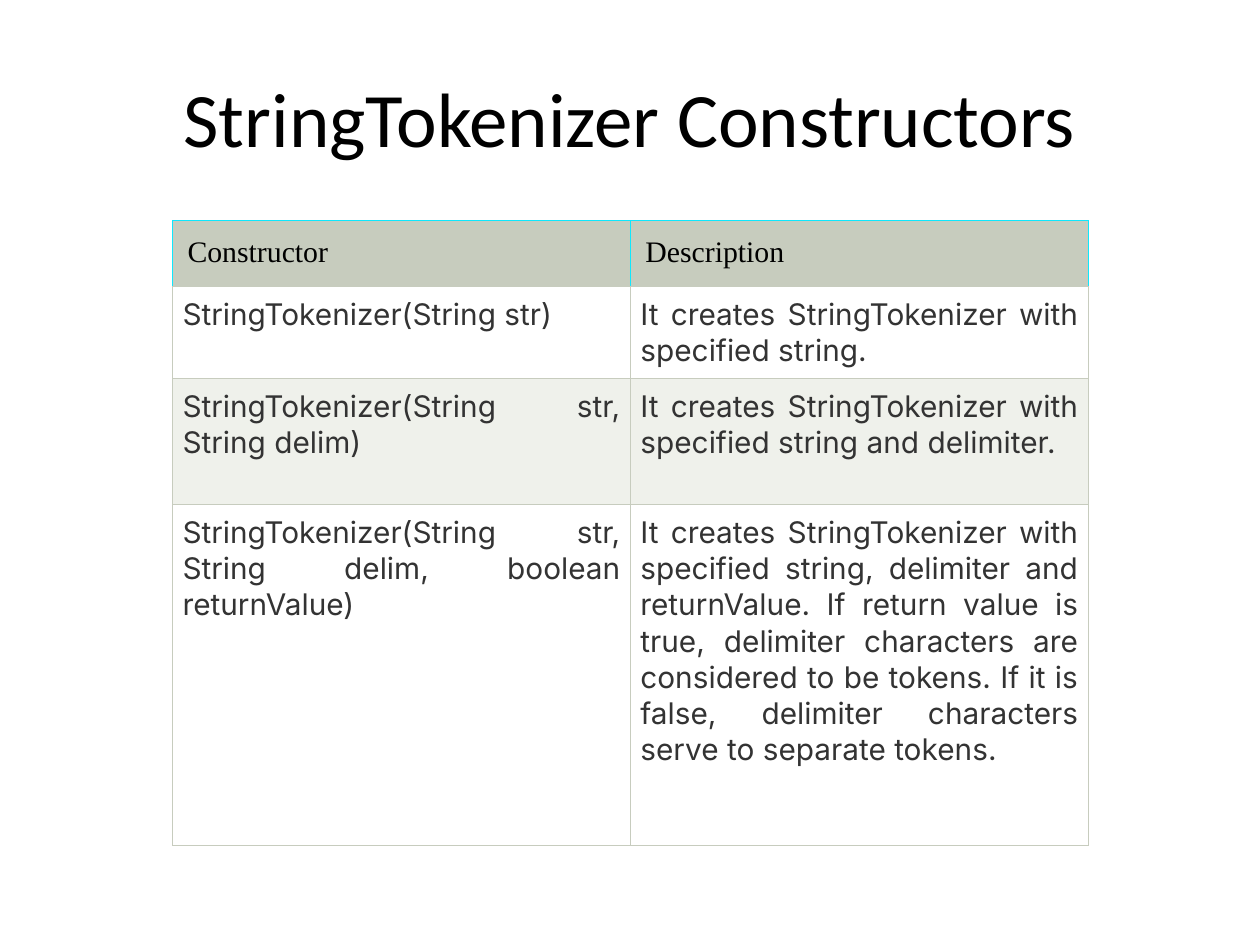
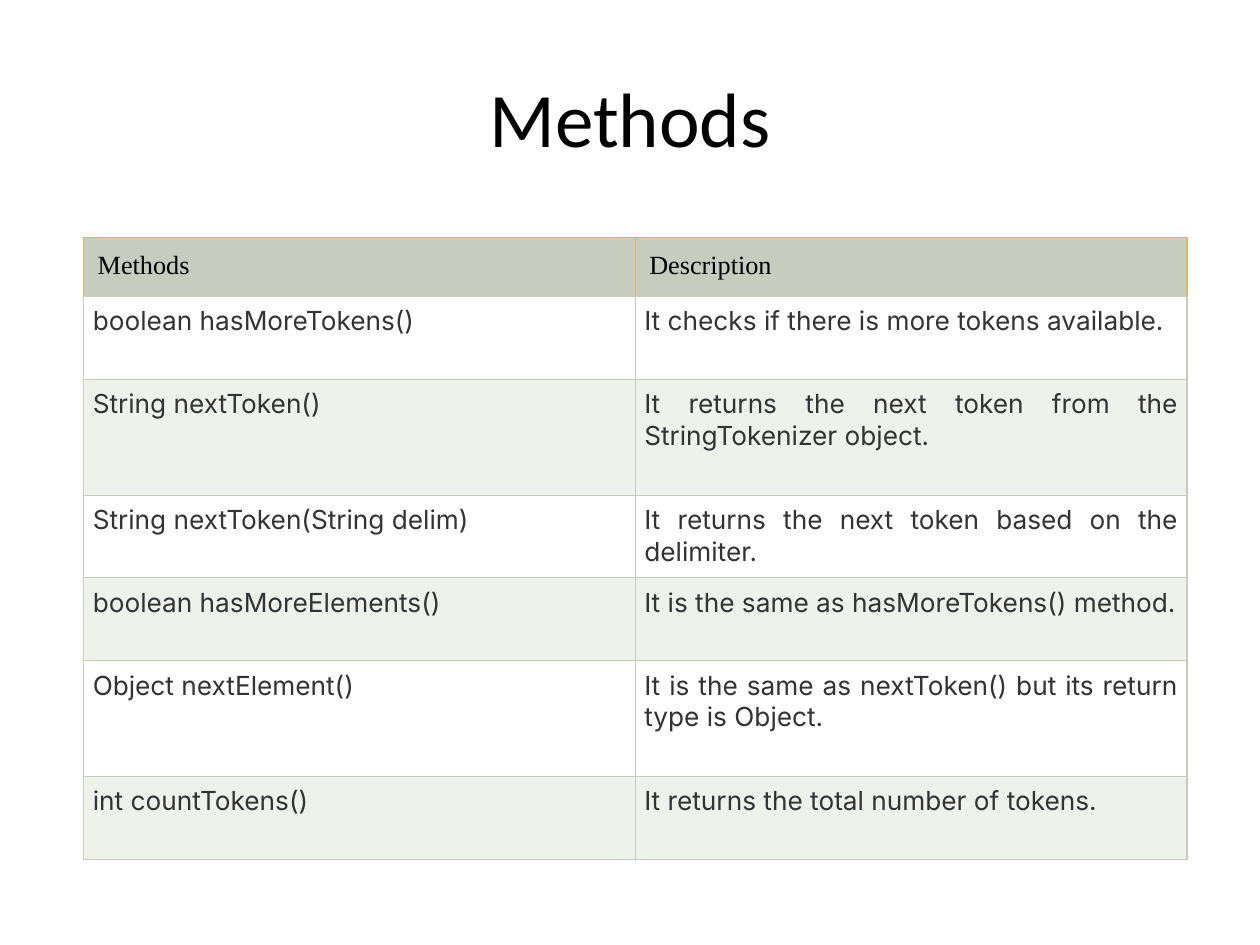
from lxml import etree
from pptx import Presentation
from pptx.dml.color import RGBColor
from pptx.enum.text import MSO_ANCHOR, PP_ALIGN
from pptx.oxml.ns import qn
from pptx.util import Cm, Pt

LEFT, CENTER, JUSTIFY = PP_ALIGN.LEFT, PP_ALIGN.CENTER, PP_ALIGN.JUSTIFY
TOP, MIDDLE = MSO_ANCHOR.TOP, MSO_ANCHOR.MIDDLE
TITLE_ONLY = 5

COLORS = {
    "title": "000000",
    "header": "C7CCBE",
    "body": "333333",
    "plain": "FFFFFF",
    "band": "EFF1EB",
    "grid": "C7CCBE",
    "cyan": "10E7FD",
    "amber": "E0B667",
}
TITLE_BOX = {"left": Cm(1.27), "top": Cm(0.76), "width": Cm(22.86), "height": Cm(3.18)}
MARGINS = ("margin_left", "margin_top", "margin_right", "margin_bottom")

SLIDES = [
    {
        "title": "StringTokenizer Constructors",
        "left": 3.48, "top": 4.45, "column_width": 9.23,
        "row_heights": [1.32, 1.84, 2.55, 6.86],
        "size": 17, "header_margin": 0.3, "body_margin": 0.2, "accent": "cyan",
        "rows": [
            ("Constructor", "Description"),
            ("StringTokenizer(String str)",
             "It creates StringTokenizer with specified string."),
            ("StringTokenizer(String str, String delim)",
             "It creates StringTokenizer with specified string and delimiter."),
            ("StringTokenizer(String str, String delim, boolean returnValue)",
             "It creates StringTokenizer with specified string, delimiter and "
             "returnValue. If return value is true, delimiter characters are "
             "considered to be tokens. If it is false, delimiter characters "
             "serve to separate tokens."),
        ],
    },
    {
        "title": "Methods",
        "left": 1.69, "top": 4.78, "column_width": 11.12,
        "row_heights": [1.2, 1.67, 2.33, 1.67, 1.67, 2.33, 1.67],
        "size": 15, "header_margin": 0.28, "body_margin": 0.18, "accent": "amber",
        "rows": [
            ("Methods", "Description"),
            ("boolean hasMoreTokens()", "It checks if there is more tokens available."),
            ("String nextToken()",
             "It returns the next token from the StringTokenizer object."),
            ("String nextToken(String delim)",
             "It returns the next token based on the delimiter."),
            ("boolean hasMoreElements()", "It is the same as hasMoreTokens() method."),
            ("Object nextElement()",
             "It is the same as nextToken() but its return type is Object."),
            ("int countTokens()", "It returns the total number of tokens."),
        ],
    },
]


def write_text(text_frame, text, font_name, size, color, alignment):
    paragraph = text_frame.paragraphs[0]
    paragraph.alignment = alignment
    run = paragraph.add_run()
    run.text = text
    font_format = {"name": font_name, "size": Pt(size), "bold": False}
    for attribute, value in font_format.items():
        setattr(run.font, attribute, value)
    run.font.color.rgb = RGBColor.from_string(COLORS[color])


def add_borders(cell, side_color):
    """Draw all four borders; the bottom one always has the grid colour."""
    properties = cell._tc.get_or_add_tcPr()
    for tag in ("a:lnL", "a:lnR", "a:lnT", "a:lnB"):
        color = "grid" if tag == "a:lnB" else side_color
        line = etree.SubElement(properties, qn(tag), w=str(Pt(0.75)))
        fill = etree.SubElement(line, qn("a:solidFill"))
        etree.SubElement(fill, qn("a:srgbClr"), val=COLORS[color])


presentation = Presentation()
presentation.slide_width = Cm(25.4)
presentation.slide_height = Cm(19.05)

for content in SLIDES:
    slide = presentation.slides.add_slide(presentation.slide_layouts[TITLE_ONLY])
    title = slide.shapes.title
    for attribute, value in TITLE_BOX.items():
        setattr(title, attribute, value)
    title.text_frame.vertical_anchor = MIDDLE
    write_text(title.text_frame, content["title"], "Calibri", 44, "title", CENTER)

    rows, heights = content["rows"], content["row_heights"]
    column_count = len(rows[0])
    table = slide.shapes.add_table(
        len(rows), column_count, Cm(content["left"]), Cm(content["top"]),
        Cm(content["column_width"] * column_count), Cm(sum(heights)),
    ).table
    table.first_row = table.horz_banding = False
    for column in table.columns:
        column.width = Cm(content["column_width"])

    for row_index, (texts, height) in enumerate(zip(rows, heights)):
        table.rows[row_index].height = Cm(height)
        if row_index == 0:
            fill, side_color, margin = "header", content["accent"], content["header_margin"]
            text_style = ("Times New Roman", content["size"], "title", LEFT)
        else:
            fill = "plain" if row_index % 2 else "band"
            side_color, margin = "grid", content["body_margin"]
            text_style = ("Inter", content["size"], "body", JUSTIFY)
        for column_index, text in enumerate(texts):
            cell = table.cell(row_index, column_index)
            for side in MARGINS:
                setattr(cell, side, Cm(margin))
            cell.vertical_anchor = TOP
            add_borders(cell, side_color)
            cell.fill.solid()
            cell.fill.fore_color.rgb = RGBColor.from_string(COLORS[fill])
            write_text(cell.text_frame, text, *text_style)

presentation.save("out.pptx")
